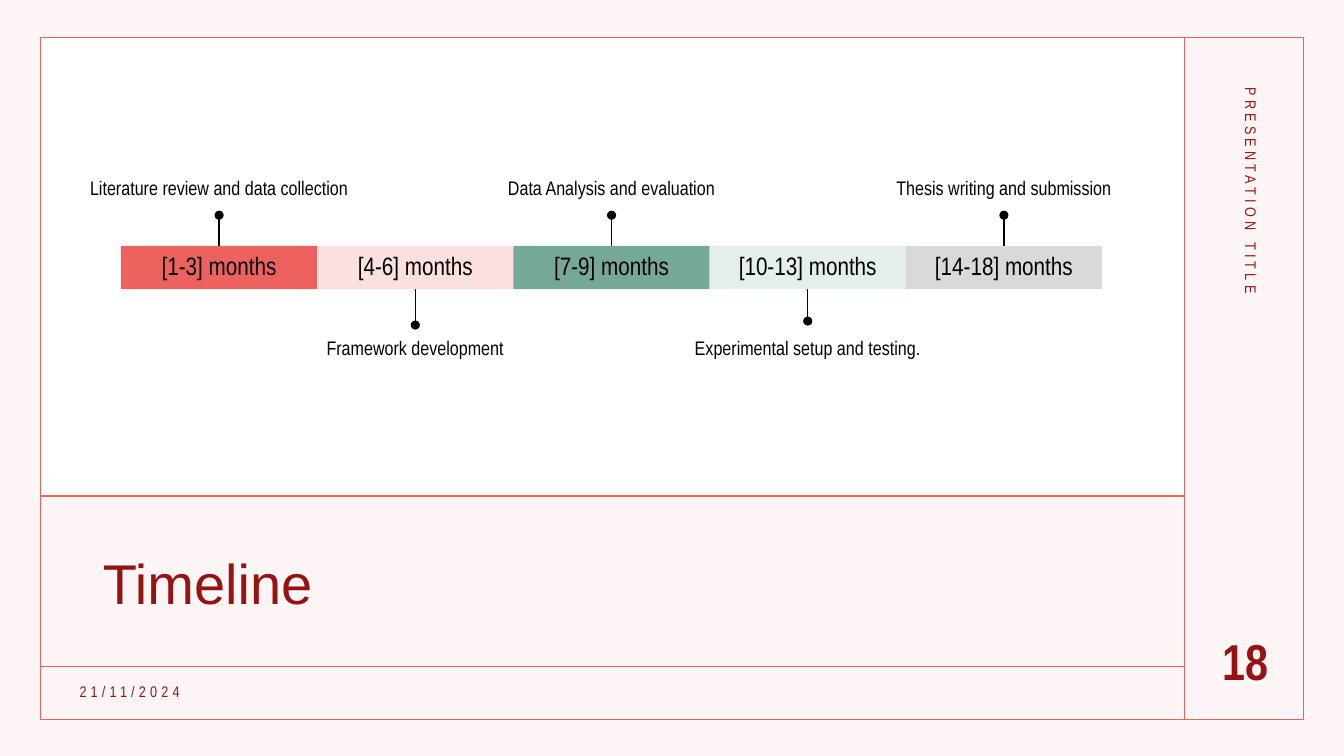
from dataclasses import dataclass

from lxml.etree import SubElement
from pptx import Presentation
from pptx.dml.color import RGBColor
from pptx.enum.shapes import MSO_CONNECTOR as Link, MSO_SHAPE as Kind
from pptx.enum.text import MSO_ANCHOR as Anchor, PP_ALIGN as Align
from pptx.oxml.ns import qn
from pptx.util import Inches, Pt

CORAL = RGBColor(0xED, 0x62, 0x5F)
BLUSH = RGBColor(0xFB, 0xE0, 0xDF)
SAGE = RGBColor(0x76, 0xA8, 0x99)
MINT = RGBColor(0xE4, 0xEE, 0xEB)
GREY = RGBColor(0xD9, 0xD9, 0xD9)
PAPER = RGBColor(0xFE, 0xF6, 0xF6)
WINE = RGBColor(0x95, 0x14, 0x11)
WHITE = RGBColor(0xFF, 0xFF, 0xFF)
BLACK = RGBColor(0, 0, 0)
NARROW = "Arial Narrow"

LEFT, TOP, RIGHT = 0.41, 0.37, 11.75
BAR_X, BAR_Y, BAR_H = 1.2, 2.44, 0.43
BAR_W = (10.93 - BAR_X) / 5
LABEL_W, LABEL_H, DOT = 3.24, 1.51, 0.09


@dataclass
class Phase:
    span: str
    task: str
    fill: RGBColor
    dot_y: float


@dataclass
class Note:
    text: str
    box: tuple[float, float, float, float]
    size: int
    bold: bool = False
    gap: int = 0
    turn: int = 0
    align: Align = Align.LEFT


PHASES = [
    Phase("[1-3] months", "Literature review and data collection", CORAL, 2.09),
    Phase("[4-6] months", "Framework development", BLUSH, 3.18),
    Phase("[7-9] months", "Data Analysis and evaluation", SAGE, 2.09),
    Phase("[10-13] months", "Experimental setup and testing.", MINT, 3.14),
    Phase("[14-18] months", "Thesis writing and submission", GREY, 2.09),
]
NOTES = [
    Note("21/11/2024", (0.69, 6.72, 3.45, 0.31), 11, gap=3),
    Note("PRESENTATION TITLE", (10.1, 2.82, 4.5, 0.4), 11, gap=3, turn=90),
    Note("18", (11.83, 6.2, 1.04, 0.83), 36, bold=True, align=Align.CENTER),
]
RULES = [
    (RIGHT, TOP, RIGHT, 7.13),
    (LEFT, 4.92, RIGHT, 4.92),
    (LEFT, 6.61, RIGHT, 6.61),
]


def write(shape, text: str, size: int, color: RGBColor, font: str = NARROW,
          align: Align = Align.CENTER, bold: bool = False, gap: int = 0) -> None:
    frame = shape.text_frame
    frame.word_wrap = True
    frame.text = text
    para = frame.paragraphs[0]
    para.alignment = align
    run = para.runs[0]
    run.font.name, run.font.size, run.font.bold = font, Pt(size), bold
    run.font.color.rgb = color
    if gap:
        run.font._element.set("spc", str(gap * 100))


def inset(shape, side: float, end: float, anchor: Anchor) -> None:
    frame = shape.text_frame
    frame.margin_left = frame.margin_right = Inches(side)
    frame.margin_top = frame.margin_bottom = Inches(end)
    frame.vertical_anchor = anchor


def block(slide, kind: Kind, x: float, y: float, w: float, h: float, fill: RGBColor):
    shape = slide.shapes.add_shape(kind, Inches(x), Inches(y), Inches(w), Inches(h))
    shape.shadow.inherit = False
    shape.fill.solid()
    shape.fill.fore_color.rgb = fill
    shape.line.fill.background()
    return shape


def rule(slide, x1: float, y1: float, x2: float, y2: float, color: RGBColor):
    line = slide.shapes.add_connector(
        Link.STRAIGHT, Inches(x1), Inches(y1), Inches(x2), Inches(y2))
    line.line.color.rgb = color
    line.line.width = Pt(1)
    SubElement(line._element.spPr, qn("a:effectLst"))
    return line


def draw_frame(slide) -> None:
    block(slide, Kind.RECTANGLE, LEFT, TOP, 11.35, 4.57, WHITE)
    for ends in RULES:
        rule(slide, *ends, CORAL)
    edge = block(slide, Kind.RECTANGLE, 0.4, TOP, 12.53, 6.77, WHITE)
    edge.fill.background()
    edge.line.color.rgb = CORAL
    edge.line.width = Pt(1)


def draw_title(slide) -> None:
    title = slide.shapes.title
    title.left, title.top = Inches(0.92), Inches(5.25)
    title.width, title.height = Inches(10.31), Inches(1.14)
    write(title, "Timeline", 40, WINE, "Arial", Align.LEFT)
    title.text_frame.vertical_anchor = Anchor.MIDDLE
    title.text_frame.paragraphs[0].line_spacing = 0.9


def draw_note(slide, note: Note) -> None:
    box = slide.shapes.add_textbox(*map(Inches, note.box))
    box.rotation = note.turn
    write(box, note.text, note.size, WINE, align=note.align, bold=note.bold, gap=note.gap)


def draw_phase(slide, i: int, phase: Phase) -> None:
    x = BAR_X + i * BAR_W
    mid = x + BAR_W / 2
    above = i % 2 == 0
    bar = block(slide, Kind.RECTANGLE, x, BAR_Y, BAR_W, BAR_H, phase.fill)
    write(bar, phase.span, 18, BLACK)
    inset(bar, 0.03, 0, Anchor.MIDDLE)
    bar.text_frame.paragraphs[0].line_spacing = 0.9

    label = slide.shapes.add_textbox(
        Inches(mid - LABEL_W / 2), Inches(0.5 if above else 3.3),
        Inches(LABEL_W), Inches(LABEL_H))
    write(label, phase.task, 14, BLACK)
    inset(label, 0.06, 0.03, Anchor.BOTTOM if above else Anchor.TOP)

    start = BAR_Y if above else BAR_Y + BAR_H
    stem = rule(slide, mid, start, mid, phase.dot_y + DOT / 2, BLACK)
    stem.begin_connect(bar, 0 if above else 2)
    block(slide, Kind.OVAL, mid - DOT / 2, phase.dot_y, DOT, DOT, BLACK)


def main() -> None:
    deck = Presentation()
    deck.slide_width, deck.slide_height = Inches(13.33), Inches(7.5)
    slide = deck.slides.add_slide(deck.slide_layouts[5])
    slide.background.fill.solid()
    slide.background.fill.fore_color.rgb = PAPER
    draw_frame(slide)
    draw_title(slide)
    for note in NOTES:
        draw_note(slide, note)
    for i, phase in enumerate(PHASES):
        draw_phase(slide, i, phase)
    deck.save("out.pptx")


if __name__ == "__main__":
    main()
